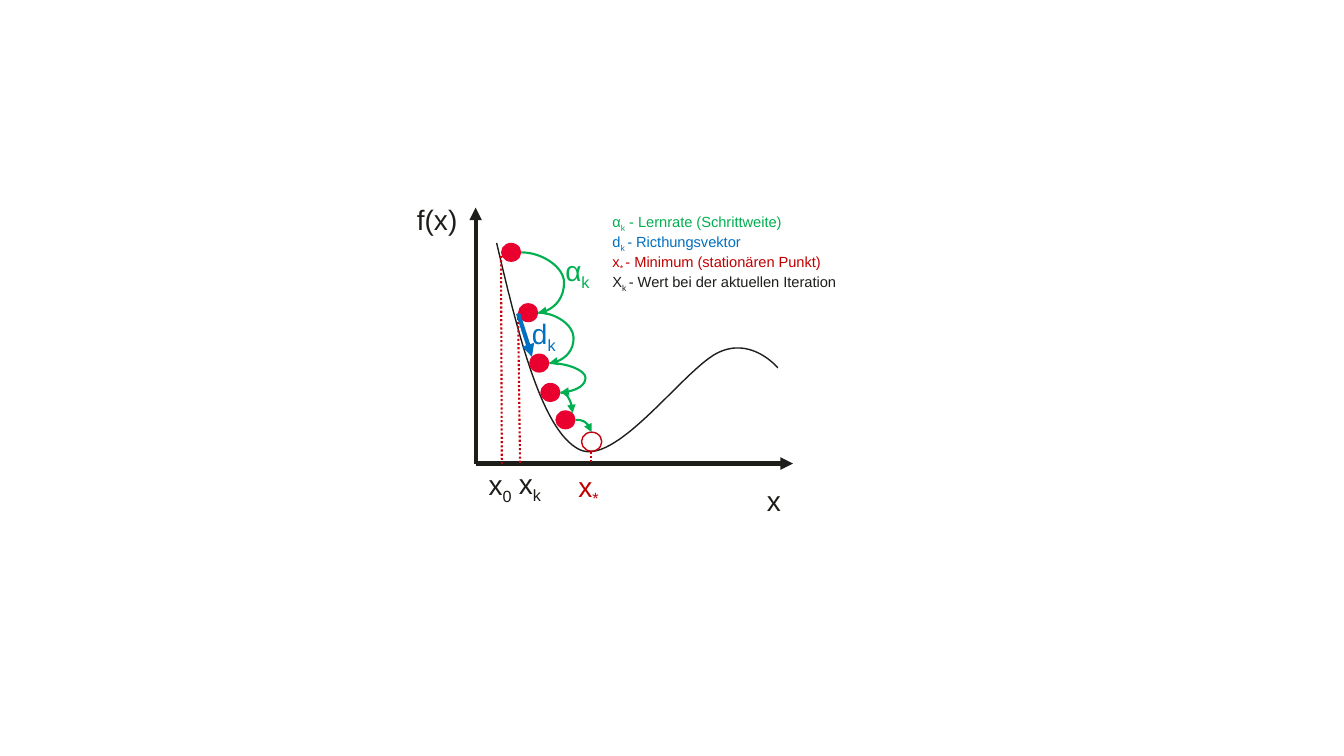
from dataclasses import dataclass
from math import sqrt

from lxml import etree
from pptx import Presentation
from pptx.dml.color import RGBColor
from pptx.enum.dml import MSO_LINE
from pptx.enum.shapes import MSO_CONNECTOR, MSO_SHAPE
from pptx.oxml.ns import qn
from pptx.util import Cm, Pt

STRAIGHT = MSO_CONNECTOR.STRAIGHT
CURVE = MSO_CONNECTOR.CURVE
ELLIPSE = MSO_SHAPE.OVAL
DOTTED = MSO_LINE.ROUND_DOT


@dataclass(frozen=True)
class Theme:
    """Colours and type of the slide."""
    ink: str = "1D1D1A"
    ball: str = "EA002F"
    ring: str = "C7000B"
    drop: str = "C7000A"
    minimum: str = "C00000"
    rate: str = "00B050"
    direction: str = "0070C0"
    font: str = "Arial"
    label_size: float = 20
    label_spacing: float = 34.4
    legend_size: float = 10.5
    legend_spacing: float = 14.4


@dataclass(frozen=True)
class Box:
    """A region in centimetres."""
    left: float
    top: float
    width: float
    height: float

    def place(self, x, y):
        """Turn a point of the region into slide lengths."""
        return Cm(self.left + x), Cm(self.top + y)


THEME = Theme()
BALL_WIDTH, BALL_HEIGHT = 0.51, 0.48
BALLS = [(0.64, 0.89), (1.07, 2.41), (1.35, 3.68),
         (1.63, 4.42), (2.01, 5.11), (2.67, 5.66)]
BULGES = [1.08, 0.89, 0.91]
CURVE_START = (0.53, 0.89)
CURVE_SEGMENTS = [
    [(1.09, 3.28), (1.68, 5.64), (2.62, 6.1)],
    [(3.56, 6.55), (5.33, 3.96), (6.17, 3.63)],
    [(6.99, 3.28), (7.62, 4.04), (7.62, 4.04)],
]
CURVE_STEPS = 30
DROPS = [((0.64, 1.22), 0.66), ((1.07, 2.67), 1.12), ((2.9, 6.15), 2.9)]
LABELS = [
    (-1.73, -0.61, "f(x)", "", THEME.ink),
    (7.09, 6.45, "x", "", THEME.ink),
    (0.08, 6.17, "x", "0", THEME.ink),
    (0.84, 6.15, "x", "k", THEME.ink),
    (2.34, 6.22, "x", "*", THEME.minimum),
    (1.17, 2.36, "d", "k", THEME.direction),
    (2.01, 0.79, "α", "k", THEME.rate),
]
LEGEND = [
    ("α", "k", " - Lernrate (Schrittweite)", THEME.rate),
    ("d", "k ", "- Ricthungsvektor", THEME.direction),
    ("x", "* ", "- Minimum (stationären Punkt)", THEME.minimum),
    ("X", "k ", "- Wert bei der aktuellen Iteration", THEME.ink),
]


def add_line(slide, box, start, end, color, width, kind=STRAIGHT, arrow=True):
    """Draw a connector between two points of the box."""
    connector = slide.shapes.add_connector(kind, *box.place(*start), *box.place(*end))
    connector.line.color.rgb = RGBColor.from_string(color)
    connector.line.width = Pt(width)
    properties = connector._element.spPr
    if arrow:
        etree.SubElement(properties.find(qn("a:ln")), qn("a:tailEnd"), type="triangle")
    etree.SubElement(properties, qn("a:effectLst"))
    return connector


def write_symbol(paragraph, parts, color, size, spacing):
    """Write text parts, the second one as a subscript."""
    paragraph.line_spacing = Pt(spacing)
    for index, part in enumerate(parts):
        if not part:
            continue
        run = paragraph.add_run()
        run.text = part
        run.font.name = THEME.font
        run.font.size = Pt(size)
        run.font.color.rgb = RGBColor.from_string(color)
        if index == 1:
            run._r.get_or_add_rPr().set("baseline", "-25000")


def bezier_points(start, segments):
    """List the points along a chain of cubic curves."""
    points = []
    for first, second, end in segments:
        for step in range(1, CURVE_STEPS + 1):
            t = step / CURVE_STEPS
            weights = ((1 - t) ** 3, 3 * t * (1 - t) ** 2, 3 * t * t * (1 - t), t ** 3)
            corners = (start, first, second, end)
            points.append(tuple(sum(w * c[axis] for w, c in zip(weights, corners))
                                for axis in (0, 1)))
        start = end
    return points


def add_function_curve(slide, box):
    """Draw the axes and the graph of the function."""
    origin = (0, box.height)
    for end in ((0, 0), (box.width, box.height)):
        add_line(slide, box, origin, end, THEME.ink, 3)
    builder = slide.shapes.build_freeform(*box.place(*CURVE_START))
    builder.add_line_segments(
        [box.place(*point) for point in bezier_points(CURVE_START, CURVE_SEGMENTS)],
        close=False)
    graph = builder.convert_to_shape()
    graph.shadow.inherit = False
    graph.fill.background()
    graph.line.color.rgb = RGBColor.from_string(THEME.ink)
    graph.line.width = Pt(1)


def add_balls(slide, box):
    """Draw the iteration points and the open ring at the minimum."""
    for position in BALLS:
        ball = slide.shapes.add_shape(ELLIPSE, *box.place(*position),
                                      Cm(BALL_WIDTH), Cm(BALL_HEIGHT))
        ball.shadow.inherit = False
        if position == BALLS[-1]:
            ball.fill.background()
            ball.line.color.rgb = RGBColor.from_string(THEME.ring)
            ball.line.width = Pt(1)
        else:
            ball.fill.solid()
            ball.fill.fore_color.rgb = RGBColor.from_string(THEME.ball)
            ball.line.fill.background()


def add_steps(slide, box):
    """Draw the curved arrows from each ball to the next."""
    sides = [(x + BALL_WIDTH, y + BALL_HEIGHT / 2) for x, y in BALLS]
    for start, end, bulge in zip(sides, sides[1:], BULGES):
        arrow = add_line(slide, box, start, end, THEME.rate, 1.5, CURVE)
        geometry = arrow._element.spPr.find(qn("a:prstGeom"))
        adjustments = geometry.find(qn("a:avLst"))
        ratio = round(bulge / (end[0] - start[0]) * 100000)
        etree.SubElement(adjustments, qn("a:gd"), name="adj1", fmla=f"val {ratio}")
    (fifth_x, fifth_y), (ring_x, ring_y) = BALLS[4:]
    diagonal = sqrt(0.5)
    corner = (fifth_x + BALL_WIDTH / 2 * (1 + diagonal),
              fifth_y + BALL_HEIGHT / 2 * (1 - diagonal))
    ring_top = (ring_x + BALL_WIDTH / 2, ring_y)
    for start, end in ((sides[3], corner), (sides[4], ring_top)):
        arrow = add_line(slide, box, start, end, THEME.rate, 1.5, CURVE)
        arrow._element.spPr.find(qn("a:prstGeom")).set("prst", "curvedConnector2")


def add_descent_plot(slide, box):
    """Draw the gradient descent diagram in its box."""
    add_function_curve(slide, box)
    add_balls(slide, box)
    for start, foot in DROPS:
        drop = add_line(slide, box, start, (foot, box.height), THEME.drop, 1.5, arrow=False)
        drop.line.dash_style = DOTTED
    add_steps(slide, box)
    add_line(slide, box, (1.07, 2.67), (1.42, 3.76), THEME.direction, 3)
    for x, y, symbol, index, color in LABELS:
        label = slide.shapes.add_textbox(*box.place(x, y), Cm(2.77), Cm(1.4))
        label.text_frame.word_wrap = True
        write_symbol(label.text_frame.paragraphs[0], (symbol, index), color,
                     THEME.label_size, THEME.label_spacing)


def add_legend(slide, box):
    """Write the explanations of the symbols."""
    legend = slide.shapes.add_textbox(*box.place(0, 0), Cm(box.width), Cm(box.height))
    frame = legend.text_frame
    frame.word_wrap = False
    for number, (*parts, color) in enumerate(LEGEND):
        paragraph = frame.add_paragraph() if number else frame.paragraphs[0]
        write_symbol(paragraph, parts, color, THEME.legend_size, THEME.legend_spacing)


def main():
    """Build and save the presentation."""
    presentation = Presentation()
    presentation.slide_width, presentation.slide_height = Cm(33.88), Cm(19.05)
    slide = presentation.slides.add_slide(presentation.slide_layouts[6])
    add_descent_plot(slide, Box(11.99, 5.23, 8, 6.45))
    add_legend(slide, Box(15.19, 5.23, 6.3, 2.95))
    presentation.save("out.pptx")


if __name__ == "__main__":
    main()
